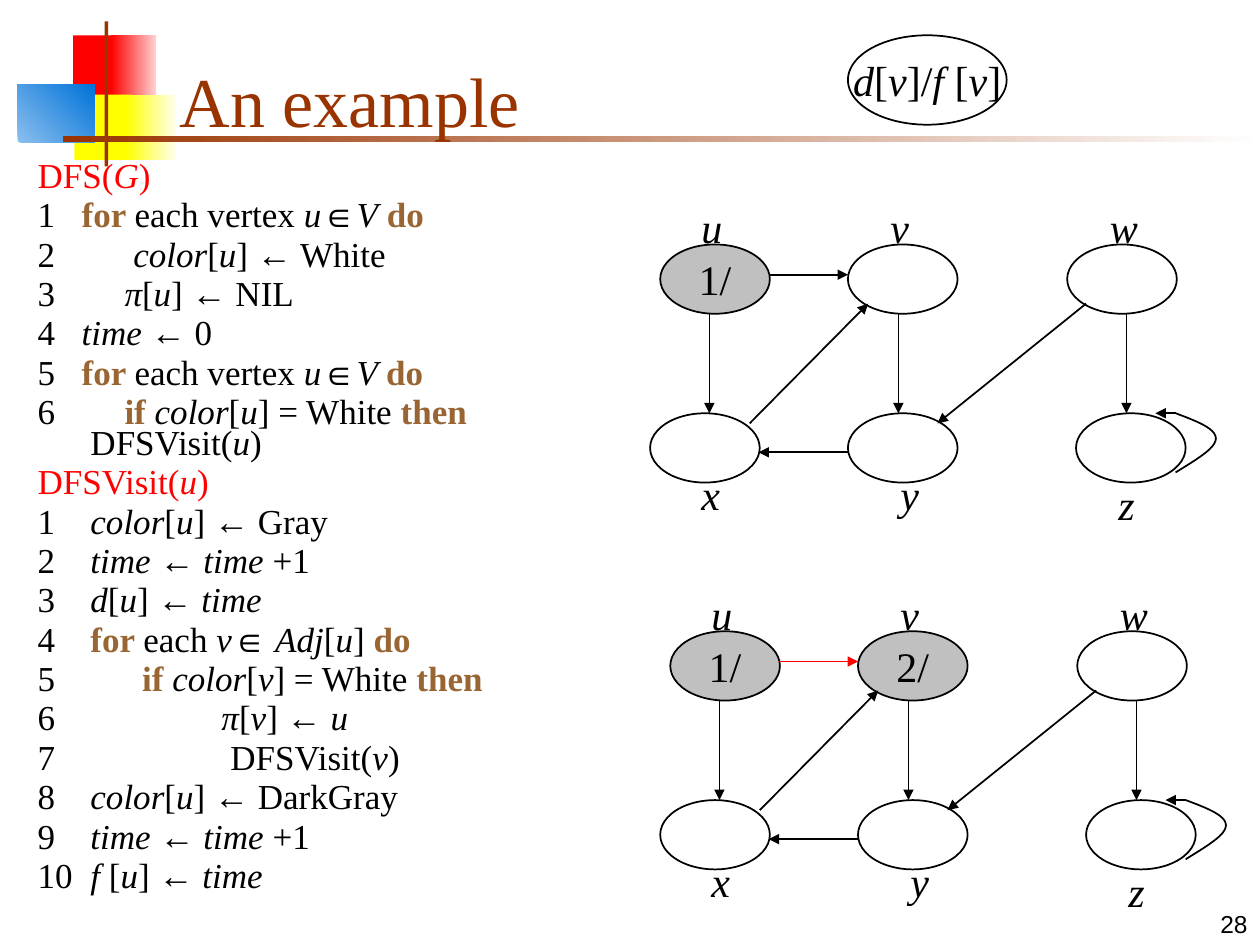
from pptx import Presentation
from pptx.dml.color import RGBColor
from pptx.enum.shapes import MSO_CONNECTOR, MSO_SHAPE
from pptx.enum.text import MSO_ANCHOR, PP_ALIGN
from pptx.oxml.ns import qn
from pptx.util import Inches, Pt
from lxml import etree

RECTANGLE, OVAL = MSO_SHAPE.RECTANGLE, MSO_SHAPE.OVAL
STRAIGHT = MSO_CONNECTOR.STRAIGHT
TOP, MIDDLE, BOTTOM = MSO_ANCHOR.TOP, MSO_ANCHOR.MIDDLE, MSO_ANCHOR.BOTTOM
LEFT, CENTER, RIGHT = PP_ALIGN.LEFT, PP_ALIGN.CENTER, PP_ALIGN.RIGHT

BLACK = RGBColor(0x00, 0x00, 0x00)
WHITE = RGBColor(0xFF, 0xFF, 0xFF)
GRAY = RGBColor(0xC0, 0xC0, 0xC0)
RED = RGBColor(0xFF, 0x00, 0x00)
PINK = RGBColor(0xFF, 0xD1, 0xD1)
YELLOW = RGBColor(0xFF, 0xFF, 0x00)
IVORY = RGBColor(0xFF, 0xFF, 0xF0)
LIGHT_BLUE = RGBColor(0x8B, 0xBF, 0xEE)
BLUE = RGBColor(0x00, 0x73, 0xD9)
RUST = RGBColor(0x99, 0x33, 0x00)
BROWN = RGBColor(0x99, 0x66, 0x33)

COLUMNS, ROWS = 100, 75
NODE_WIDTH, NODE_HEIGHT = 8.7, 5.5
NODES = {"u": (52.4, 19.4), "v": (67.3, 19.4), "w": (84.7, 19.4),
         "x": (51.6, 32.8), "y": (67.3, 32.8), "z": (85.4, 32.8)}
LABELS = {"u": (56.5, 15.5), "v": (71.4, 15.5), "w": (89.1, 15.5),
          "x": (56.4, 36.7), "y": (72.2, 36.7), "z": (89.4, 37.5)}
EDGES = {"uv": (61, 21.8, 67.3, 21.8), "ux": (56.3, 24.9, 56.3, 32.8),
         "vy": (71.3, 24.9, 71.3, 32.8), "wz": (89.4, 24.9, 89.4, 32.8),
         "xv": (59.5, 33.6, 68.9, 24.1), "yx": (67.3, 35.9, 60.2, 35.9),
         "wy": (86.2, 24.1, 74.4, 33.6), "loop tip": (91.7, 32.8, 91.7, 32.8),
         "loop end": (93.3, 32.8, 91.7, 32.8)}
LOOP = [[(93.3, 37.5), (94.9, 36.5), (96.5, 35.6), (96.5, 34.8)],
        [(96.5, 34.8), (96.5, 34), (94.9, 33.4), (93.3, 32.8)]]

PSEUDOCODE = [
    (4.2, 0, RED, "DFS(_G_)"),
    (3.5, 5, BLACK, "1\t#for #each vertex _u_∈_V_ #do#"),
    (7.6, 5, BLACK, "2\t_color_[_u_] ← White"),
    (6.9, 5, BLACK, "3\t_π_[_u_] ← NIL"),
    (3.5, 5, BLACK, "4\t_time _← 0"),
    (3.5, 5, BLACK, "5\t#for #each vertex _u_∈_V _#do#"),
    (6.9, 5, BLACK, "6\t#if #_color_[_u_] = White #then#"),
    (4.2, 0, BLACK, "DFSVisit(_u_)"),
    (4.2, 5, RED, "DFSVisit(_u_)"),
    (4.2, 5, BLACK, "1\t_color_[_u_] ← Gray"),
    (4.2, 5, BLACK, "2\t_time _← _time _+1"),
    (4.2, 5, BLACK, "3\t_d_[_u_] ← _time_"),
    (4.2, 5, BLACK, "4\t#for #each _v_∈_ Adj_[_u_] #do#"),
    (8.3, 5, BLACK, "5\t#if #_color_[_v_] = White #then#"),
    (14.6, 5, BLACK, "6\t_π_[_v_] ← _u_"),
    (15.3, 5, BLACK, "7\tDFSVisit(_v_)"),
    (4.2, 5, BLACK, "8\t_color_[_u_] ← DarkGray"),
    (4.2, 5, BLACK, "9\t_time _← _time _+1"),
    (4.2, 5, BLACK, "10\t_f _[_u_] ← _time_"),
]


class SlideBuilder:
    """Draws styled elements in grid units; in text, _ marks italics and # keywords."""

    def __init__(self, presentation):
        self.slide = presentation.slides.add_slide(presentation.slide_layouts[6])
        self.column = presentation.slide_width / COLUMNS
        self.row = presentation.slide_height / ROWS

    def grid(self, *lengths):
        units = (self.column, self.row)
        return [round(length * units[index % 2]) for index, length in enumerate(lengths)]

    def add_runs(self, paragraph, text, color=BLACK, size=24, font="Times New Roman"):
        for keyword, part in enumerate(text.split("#")):
            for italic, chunk in enumerate(part.split("_")):
                if chunk:
                    run = paragraph.add_run()
                    run.text = chunk
                    is_keyword = keyword % 2 == 1
                    values = {"name": font, "size": Pt(size), "bold": is_keyword,
                              "italic": italic % 2 == 1}
                    for name, value in values.items():
                        setattr(run.font, name, value)
                    run.font.color.rgb = BROWN if is_keyword else color

    def fill_text(self, shape, text, align=CENTER, anchor=MIDDLE, wrap=False, **style):
        frame = shape.text_frame
        for name, value in {"word_wrap": wrap, "vertical_anchor": anchor}.items():
            setattr(frame, name, value)
        frame.paragraphs[0].alignment = align
        self.add_runs(frame.paragraphs[0], text, **style)

    def text(self, box, text, **style):
        self.fill_text(self.slide.shapes.add_textbox(*self.grid(*box)), text, **style)

    def block(self, box, color, end_color=None, angle=0):
        shape = self.slide.shapes.add_shape(RECTANGLE, *self.grid(*box))
        shape.shadow.inherit = False
        shape.line.fill.background()
        if end_color is None:
            shape.fill.solid()
            shape.fill.fore_color.rgb = color
            return
        shape.fill.gradient()
        shape.fill.gradient_angle = angle
        for stop, position, stop_color in zip(shape.fill.gradient_stops, (0, 1), (color, end_color)):
            stop.position = position
            stop.color.rgb = stop_color

    def oval(self, box, color=WHITE, text=""):
        shape = self.slide.shapes.add_shape(OVAL, *self.grid(*box))
        shape.shadow.inherit = False
        shape.fill.solid()
        shape.fill.fore_color.rgb = color
        self.outline(shape)
        if text:
            self.fill_text(shape, text)

    def outline(self, shape, color=BLACK):
        shape.line.color.rgb = color
        shape.line.width = Pt(1)

    def arrow(self, ends, color=BLACK):
        connector = self.slide.shapes.add_connector(STRAIGHT, *self.grid(*ends))
        self.outline(connector, color)
        properties = connector._element.spPr
        etree.SubElement(properties.find(qn("a:ln")), qn("a:tailEnd"), type="triangle")
        etree.SubElement(properties, qn("a:effectLst"))

    def curve(self, segments, steps=12):
        points = []
        for segment in segments:
            for step in range(steps + 1):
                t = step / steps
                weights = ((1 - t) ** 3, 3 * t * (1 - t) ** 2, 3 * t ** 2 * (1 - t), t ** 3)
                points.append(self.grid(*(sum(weight * point[axis] for weight, point in zip(weights, segment))
                                          for axis in (0, 1))))
        builder = self.slide.shapes.build_freeform(*points[0])
        builder.add_line_segments(points[1:], close=False)
        shape = builder.convert_to_shape()
        shape.shadow.inherit = False
        shape.fill.background()
        self.outline(shape)

    def code(self, box, lines):
        frame = self.slide.shapes.add_textbox(*self.grid(*box)).text_frame
        frame.word_wrap = True
        for index, (indent, space, color, text) in enumerate(lines):
            paragraph = frame.add_paragraph() if index else frame.paragraphs[0]
            margin = self.grid(indent)[0]
            properties = paragraph._p.get_or_add_pPr()
            properties.set("marL", str(margin))
            properties.set("indent", str(-margin if "\t" in text or color == RED else 0))
            tabs = etree.SubElement(properties, qn("a:tabLst"))
            for position in (0, margin):
                etree.SubElement(tabs, qn("a:tab"), pos=str(position), algn="l")
            for name, value in {"line_spacing": 0.73, "space_before": Pt(space)}.items():
                setattr(paragraph, name, value)
            self.add_runs(paragraph, text, color, 20)

    def graph(self, across, down, visited, red_edges=()):
        for name, (left, top) in LABELS.items():
            self.text((left + across - 2, top + down, 4, 5), f"_{name}_", anchor=TOP)
        for name, (left, top) in NODES.items():
            self.oval((left + across, top + down, NODE_WIDTH, NODE_HEIGHT),
                      GRAY if name in visited else WHITE, visited.get(name, ""))
        self.curve([[(x + across, y + down) for x, y in segment] for segment in LOOP])
        for name, (x1, y1, x2, y2) in EDGES.items():
            self.arrow((x1 + across, y1 + down, x2 + across, y2 + down),
                       RED if name in red_edges else BLACK)


def main():
    presentation = Presentation()
    presentation.slide_width, presentation.slide_height = Inches(10), Inches(7.5)
    builder = SlideBuilder(presentation)
    builder.block((5.8, 2.8, 3.5, 5.2), RED)
    builder.block((8.8, 2.8, 3.6, 5.2), RED, PINK)
    builder.block((5.9, 7.5, 4.6, 5.2), YELLOW)
    builder.block((10, 7.5, 4, 5.2), YELLOW, IVORY)
    builder.block((1.4, 6.7, 6.1, 4.6), LIGHT_BLUE, BLUE, 45)
    builder.block((8.3, 1.7, 0.3, 11.5), RUST)
    builder.block((5, 10.8, 95, 0.5), RUST, WHITE)
    builder.text((79.2, 70, 20.8, 5), "28", align=RIGHT, anchor=BOTTOM, wrap=True, size=14, font="Arial")
    builder.text((13.3, 2.5, 85.2, 9.2), "An example", align=LEFT, anchor=BOTTOM, wrap=True,
                 size=40, color=RUST)
    builder.code((2, 12.5, 47.3, 62.5), PSEUDOCODE)
    builder.oval((67.3, 2.8, 12.6, 7.1), text="_d_[_v_]/_f _[_v_]")
    builder.graph(0, 0, {"u": "1/"})
    builder.graph(0.8, 30.7, {"u": "1/", "v": "2/"}, ("uv",))
    presentation.save("out.pptx")


if __name__ == "__main__":
    main()
